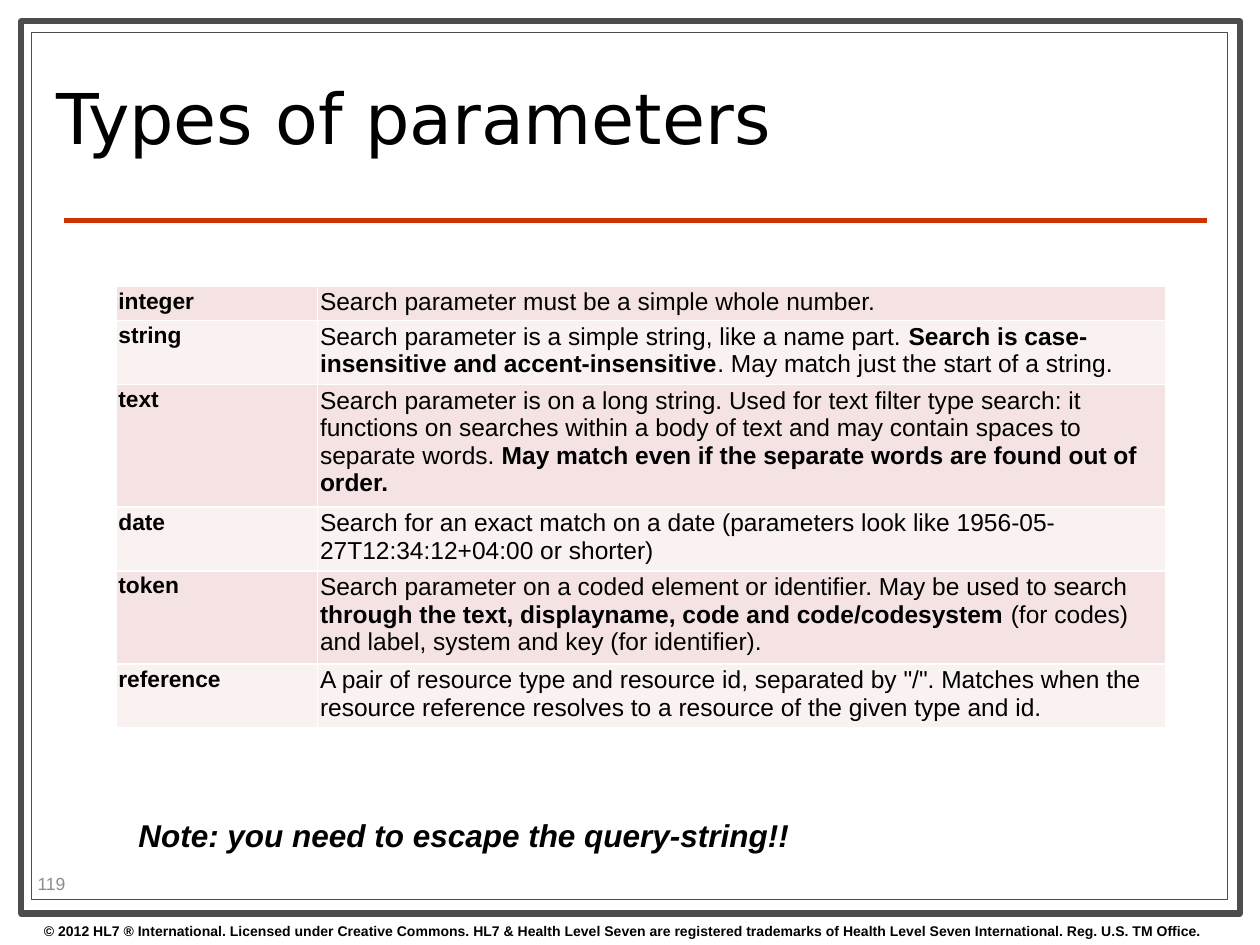
from lxml.etree import SubElement
from pptx import Presentation
from pptx.dml.color import RGBColor
from pptx.enum.shapes import MSO_CONNECTOR, MSO_SHAPE
from pptx.enum.text import MSO_ANCHOR, MSO_AUTO_SIZE
from pptx.oxml import parse_xml
from pptx.oxml.ns import nsdecls, qn
from pptx.util import Inches, Pt

COLORS = {
    "paper": "FFFFFF",
    "ink": "000000",
    "frame": "4D4D4D",
    "rule": "CC3300",
    "band_dark": "F4E3E2",
    "band_light": "FAF1F1",
    "page_number": "8C8C8C",
}

# Description pieces alternate between regular and bold.
PARAMETERS = [
    ("integer", 0.2, ["Search parameter must be a simple whole number."]),
    ("string", 0.33, [
        "Search parameter is a simple string, like a name part. ",
        "Search is case-insensitive and accent-insensitive",
        ". May match just the start of a string.",
    ]),
    ("text", 0.64, [
        "Search parameter is on a long string. Used for text filter type search: it functions on "
        "searches within a body of text and may contain spaces to separate words. ",
        "May match even if the separate words are found out of order. ",
    ]),
    ("date", 0.33, [
        "Search for an exact match on a date (parameters look like "
        "1956-05-27T12:34:12+04:00 or shorter)",
    ]),
    ("token", 0.48, [
        "Search parameter on a coded element or identifier. May be used to search ",
        "through the text, displayname, code and code/codesystem",
        " (for codes) and label, system and key (for identifier).",
    ]),
    ("reference", 0.27, [
        "A pair of resource type and resource id, separated by \"/\". Matches when the resource "
        "reference resolves to a resource of the given type and id.",
    ]),
]


def rgb(name):
    return RGBColor.from_string(COLORS[name])


def write(paragraph, text, size=14, font="Arial", color="ink", bold=False, italic=False):
    run = paragraph.add_run()
    run.text = text
    run.font.size = Pt(size)
    run.font.name = font
    run.font.color.rgb = rgb(color)
    run.font.bold = bold
    run.font.italic = italic


class SlideBuilder:
    """Draws styled elements on the current slide."""

    def __init__(self, slide):
        self.slide = slide

    def frame(self, left, top, width, height, weight):
        border = self.slide.shapes.add_shape(
            MSO_SHAPE.RECTANGLE, Inches(left), Inches(top), Inches(width), Inches(height))
        border.shadow.inherit = False
        border.fill.solid()
        border.fill.fore_color.rgb = rgb("paper")
        border.line.color.rgb = rgb("frame")
        border.line.width = Pt(weight)

    def rule(self, left, right, top, weight):
        divider = self.slide.shapes.add_connector(
            MSO_CONNECTOR.STRAIGHT, Inches(left), Inches(top), Inches(right), Inches(top))
        divider.line.color.rgb = rgb("rule")
        divider.line.width = Pt(weight)
        SubElement(divider._element.spPr, qn("a:effectLst"))

    def text(self, words, left, top, width, height, anchor=MSO_ANCHOR.TOP, wrap=True,
             grow=False, spacing=None, **style):
        box = self.slide.shapes.add_textbox(
            Inches(left), Inches(top), Inches(width), Inches(height))
        body = box.text_frame
        body.word_wrap = wrap
        body.vertical_anchor = anchor
        body.auto_size = MSO_AUTO_SIZE.SHAPE_TO_FIT_TEXT if grow else MSO_AUTO_SIZE.NONE
        body.paragraphs[0].line_spacing = spacing
        write(body.paragraphs[0], words, **style)

    def cell(self, cell, band):
        cell.margin_left = cell.margin_right = Inches(0.02)
        cell.margin_top = cell.margin_bottom = Inches(0.02)
        properties = cell._tc.get_or_add_tcPr()
        for side in ("lnL", "lnR", "lnT", "lnB"):
            properties.append(parse_xml(
                f'<a:{side} {nsdecls("a")} w="{Pt(1)}"><a:solidFill>'
                f'<a:srgbClr val="{COLORS["paper"]}"/></a:solidFill></a:{side}>'))
        cell.fill.solid()
        cell.fill.fore_color.rgb = rgb(band)
        return cell.text_frame.paragraphs[0]

    def table(self, rows, left, top, widths):
        height = sum(row_height for _, row_height, _ in rows)
        grid = self.slide.shapes.add_table(
            len(rows), len(widths), Inches(left), Inches(top),
            Inches(sum(widths)), Inches(height)).table
        grid.first_row = grid.horz_banding = False
        for column, width in zip(grid.columns, widths):
            column.width = Inches(width)
        for index, (name, row_height, pieces) in enumerate(rows):
            grid.rows[index].height = Inches(row_height)
            band = "band_light" if index % 2 else "band_dark"
            write(self.cell(grid.cell(index, 0), band), name, size=13, bold=True)
            description = self.cell(grid.cell(index, 1), band)
            for order, piece in enumerate(pieces):
                write(description, piece, bold=order % 2 == 1)


def main():
    deck = Presentation()
    deck.slide_width, deck.slide_height = Inches(10), Inches(7.5)
    page = SlideBuilder(deck.slides.add_slide(deck.slide_layouts[6]))
    page.frame(0.17, 0.17, 9.67, 7.08, weight=3.5)
    page.frame(0.25, 0.26, 9.49, 6.88, weight=0.75)
    page.rule(0.51, 9.58, 1.75, weight=3)
    page.text("© 2012 HL7 ® International. Licensed under Creative Commons. HL7 & Health Level Seven "
              "are registered trademarks of Health Level Seven International. Reg. U.S. TM Office.",
              0.25, 7.27, 10, 0.23, grow=True, size=8, bold=True)
    page.text("Types of parameters", 0.35, 0.36, 7.17, 1.26, anchor=MSO_ANCHOR.MIDDLE,
              spacing=0.8, size=40, font="DejaVu Sans")
    page.table(PARAMETERS, 0.92, 2.27, [1.6, 6.73])
    page.text("119", 0.2, 6.89, 0.79, 0.24, anchor=MSO_ANCHOR.MIDDLE,
              size=10, color="page_number")
    page.text("Note: you need to escape the query-string!!", 1, 6.43, 5.42, 0.4,
              wrap=False, grow=True, size=18, bold=True, italic=True)
    deck.save("out.pptx")


if __name__ == "__main__":
    main()
